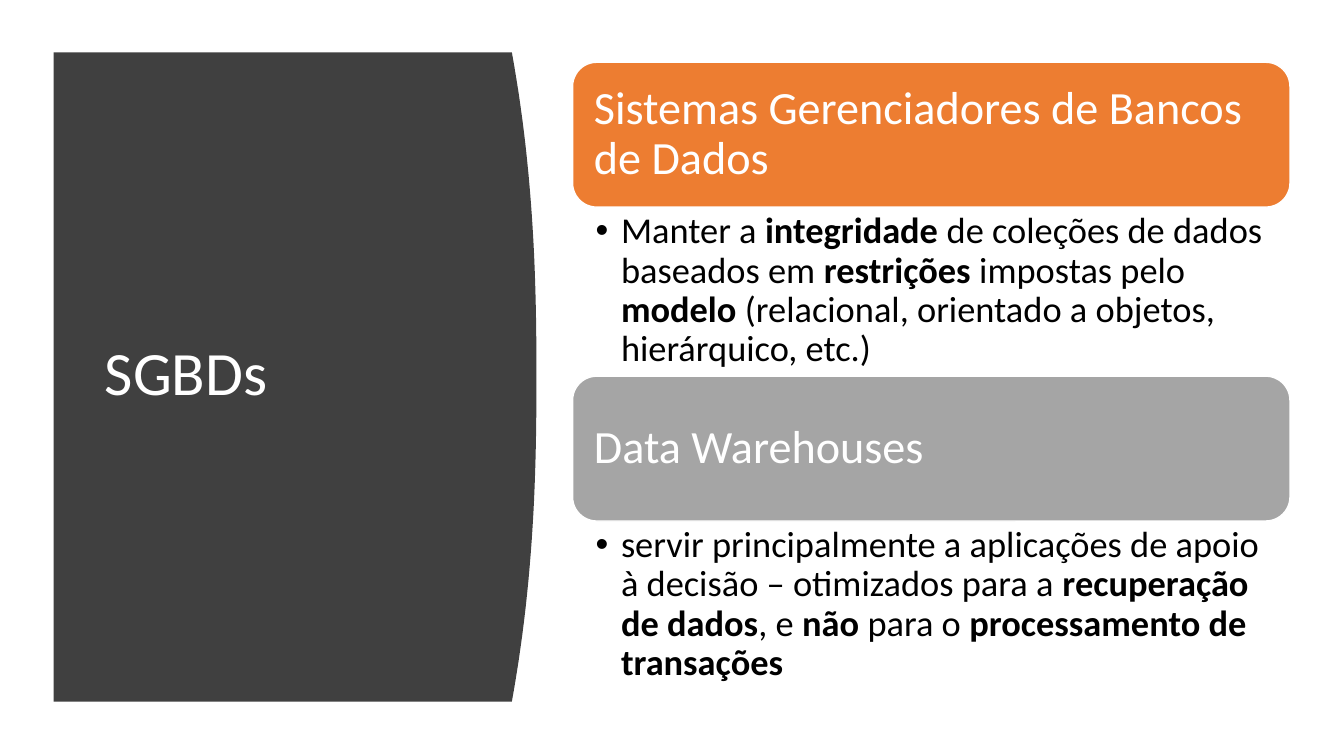
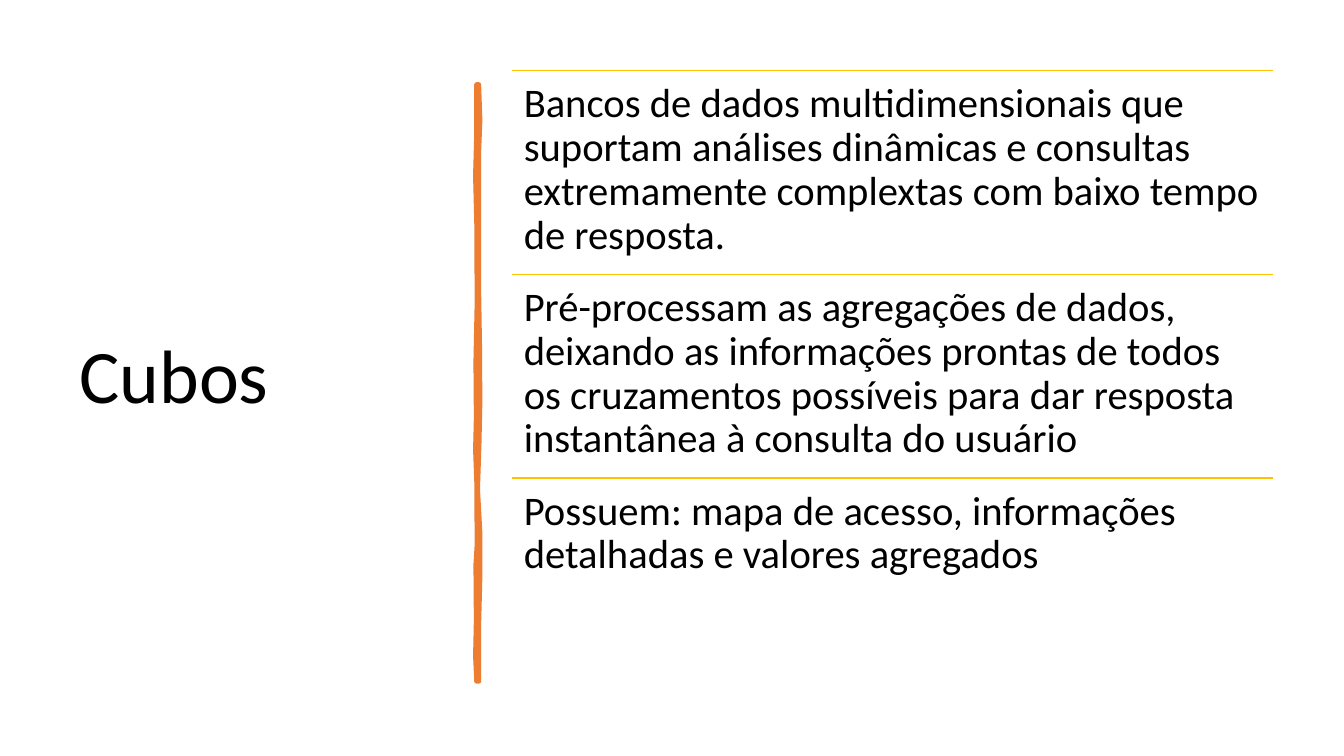
import pptx
import pptx.dml.color
import pptx.enum.shapes
import pptx.enum.text
import pptx.oxml.ns
import pptx.util
from lxml import etree

Cm = pptx.util.Cm
Pt = pptx.util.Pt
RGBColor = pptx.dml.color.RGBColor
Anchor = pptx.enum.text.MSO_ANCHOR

WHITE = RGBColor(0xFF, 0xFF, 0xFF)
BLACK = RGBColor(0, 0, 0)
CHARCOAL = RGBColor(0x40, 0x40, 0x40)
ORANGE = RGBColor(0xED, 0x7D, 0x31)
GRAY = RGBColor(0xA5, 0xA5, 0xA5)
GOLD = RGBColor(0xFF, 0xC0, 0x00)

FONT = "Calibri"
TWO_CONTENT, TITLE_ONLY = 3, 5
TITLE_INSETS = (0.25, 0.13, 0.25, 0.13)
HEADING_INSETS = (0.36, 0.36, 0.36, 0.36)
BULLET_INSETS = (0.58, 0.13, 0.66, 0.13)
ROW_INSETS = (0.3, 0.3, 0.3, 0.3)

# Each section: heading, colour, text with bold parts between asterisks
SECTIONS = [
    ("Sistemas Gerenciadores de Bancos de Dados", ORANGE,
     "Manter a *integridade* de coleções de dados baseados em *restrições* "
     "impostas pelo *modelo* (relacional, orientado a objetos, hierárquico, etc.)"),
    ("Data Warehouses", GRAY,
     "servir principalmente a aplicações de apoio à decisão – otimizados para a "
     "*recuperação de dados*, e *não* para o *processamento de transações*"),
]
CUBE_FACTS = [
    "Bancos de dados multidimensionais que suportam análises dinâmicas e consultas "
    "extremamente complextas com baixo tempo de resposta.",
    "Pré-processam as agregações de dados, deixando as informações prontas de todos "
    "os cruzamentos possíveis para dar resposta instantânea à consulta do usuário",
    "Possuem: mapa de acesso, informações detalhadas e valores agregados",
]

# Brush stroke edges: (distance from the top, offset from the axis), in cm
STROKE_RIGHT = [(0, 0.03), (0.9, 0.06), (1.7, 0.03), (5.2, 0.03), (6.5, 0.05),
                (8, 0.06), (9, 0.04), (10.2, 0), (11.3, 0.06), (12.4, 0.06),
                (13.6, 0.03), (15.04, 0.03)]
STROKE_LEFT = [(0, -0.03), (1.2, -0.03), (2.3, -0.06), (3.5, -0.03), (5.5, -0.02),
               (7, -0.05), (8.4, -0.04), (9.2, -0.06), (10, -0.03), (11.6, -0.02),
               (12.1, -0.05), (13.5, -0.04), (14.4, -0.06), (15.04, -0.03)]


def set_values(target, values):
    for name, value in values.items():
        setattr(target, name, value)


def place(shape, box):
    set_values(shape, dict(zip(("left", "top", "width", "height"), map(Cm, box))))


def write_text(shape, text, size, color, insets, anchor=Anchor.TOP, bullet=False):
    """Write one left-aligned paragraph; parts between asterisks are bold."""
    frame = shape.text_frame
    set_values(frame, {"word_wrap": True, "vertical_anchor": anchor,
                       "auto_size": pptx.enum.text.MSO_AUTO_SIZE.NONE})
    sides = ("margin_left", "margin_top", "margin_right", "margin_bottom")
    set_values(frame, dict(zip(sides, map(Cm, insets))))
    para = frame.paragraphs[0]
    set_values(para, {"alignment": pptx.enum.text.PP_ALIGN.LEFT, "line_spacing": 0.9,
                      "space_before": Pt(0), "space_after": Pt(0)})
    if bullet:
        properties = para._p.get_or_add_pPr()
        properties.set("marL", str(Cm(0.64)))
        properties.set("indent", str(-Cm(0.64)))
        mark = etree.SubElement(properties, pptx.oxml.ns.qn("a:buChar"))
        mark.set("char", "•")
    for index, part in enumerate(text.split("*")):
        if part:
            span = para.add_run()
            span.text = part
            set_values(span.font, {"name": FONT, "size": Pt(size), "bold": index % 2 == 1})
            span.font.color.rgb = color


def paint(shape, fill, line=None, width=1):
    shape.shadow.inherit = False
    shape.fill.solid()
    shape.fill.fore_color.rgb = fill
    if line is None:
        shape.line.fill.background()
    else:
        shape.line.color.rgb = line
        shape.line.width = Pt(width)


def add_outline(page, points):
    corners = [(Cm(x), Cm(y)) for x, y in points]
    builder = page.shapes.build_freeform(*corners[0])
    builder.add_line_segments(corners[1:], close=True)
    return builder.convert_to_shape()


def add_title(page, text, box, size, color):
    place(page.shapes.title, box)
    write_text(page.shapes.title, text, size, color, TITLE_INSETS, Anchor.MIDDLE)


def add_curved_panel(page, box, bulge):
    """Dark panel whose right side swells by the given amount."""
    left, top, width, height = box
    steps = 48
    points = [(left, top)]
    for step in range(steps + 1):
        swell = 1 - abs(2 * step / steps - 1) ** 2.4
        points.append((left + width - bulge * (1 - swell), top + height * step / steps))
    points.append((left, top + height))
    paint(add_outline(page, points), CHARCOAL)


def add_section(page, box, section, body):
    """Coloured heading with a bulleted text below it."""
    left, top, width, height = box
    heading, color, text = section
    bar_height = 3.65
    bar = page.shapes.add_shape(pptx.enum.shapes.MSO_SHAPE.ROUNDED_RECTANGLE,
                                *map(Cm, (left, top, width, bar_height)))
    paint(bar, color, WHITE)
    write_text(bar, heading, 33, WHITE, HEADING_INSETS, Anchor.MIDDLE)
    place(body, (left, top + bar_height, width, height - bar_height))
    write_text(body, text, 26, BLACK, BULLET_INSETS, bullet=True)


def add_brush_stroke(page, axis, top):
    edges = STROKE_RIGHT + STROKE_LEFT[::-1]
    stroke = add_outline(page, [(axis + offset, top + drop) for drop, offset in edges])
    paint(stroke, ORANGE, ORANGE, 3.25)
    etree.SubElement(stroke.line._get_or_add_ln(), pptx.oxml.ns.qn("a:round"))


def add_ruled_row(page, box, text):
    """Text with a thin rule along the top of its box."""
    left, top, width, height = box
    rule = page.shapes.add_connector(pptx.enum.shapes.MSO_CONNECTOR.STRAIGHT,
                                     *map(Cm, (left, top, left + width, top)))
    rule.line.color.rgb = GOLD
    rule.line.width = Pt(1)
    etree.SubElement(rule._element.spPr, pptx.oxml.ns.qn("a:effectLst"))
    row = page.shapes.add_textbox(*map(Cm, box))
    write_text(row, text, 29, BLACK, ROW_INSETS)


def split_rows(box, count):
    left, top, width, height = box
    row_height = height / count
    return [(left, top + index * row_height, width, row_height) for index in range(count)]


def build_systems_page(deck):
    page = deck.slides.add_slide(deck.slide_layouts[TWO_CONTENT])
    bodies = [page.placeholders[1], page.placeholders[2]]
    add_curved_panel(page, (1.35, 1.32, 12.17, 16.36), 0.62)
    # The panel goes behind the placeholders
    panel = page.shapes[-1]._element
    page.shapes.title._element.addprevious(panel)
    add_title(page, "SGBDs", (2.39, 2.82, 9.5, 13.3), 44, WHITE)
    rows = split_rows((14.43, 1.57, 18.08, 15.82), len(SECTIONS))
    for row, section, body in zip(rows, SECTIONS, bodies):
        add_section(page, row, section, body)


def build_cubes_page(deck):
    page = deck.slides.add_slide(deck.slide_layouts[TITLE_ONLY])
    add_title(page, "Cubos", (1.75, 1.78, 9.5, 15.52), 54, BLACK)
    add_brush_stroke(page, 12.04, 2.13)
    rows = split_rows((12.9, 1.78, 19.18, 15.4), len(CUBE_FACTS))
    for row, fact in zip(rows, CUBE_FACTS):
        add_ruled_row(page, row, fact)


def main():
    deck = pptx.Presentation()
    set_values(deck, {"slide_width": Cm(33.87), "slide_height": Cm(19.05)})
    build_systems_page(deck)
    build_cubes_page(deck)
    deck.save("out.pptx")


if __name__ == "__main__":
    main()
